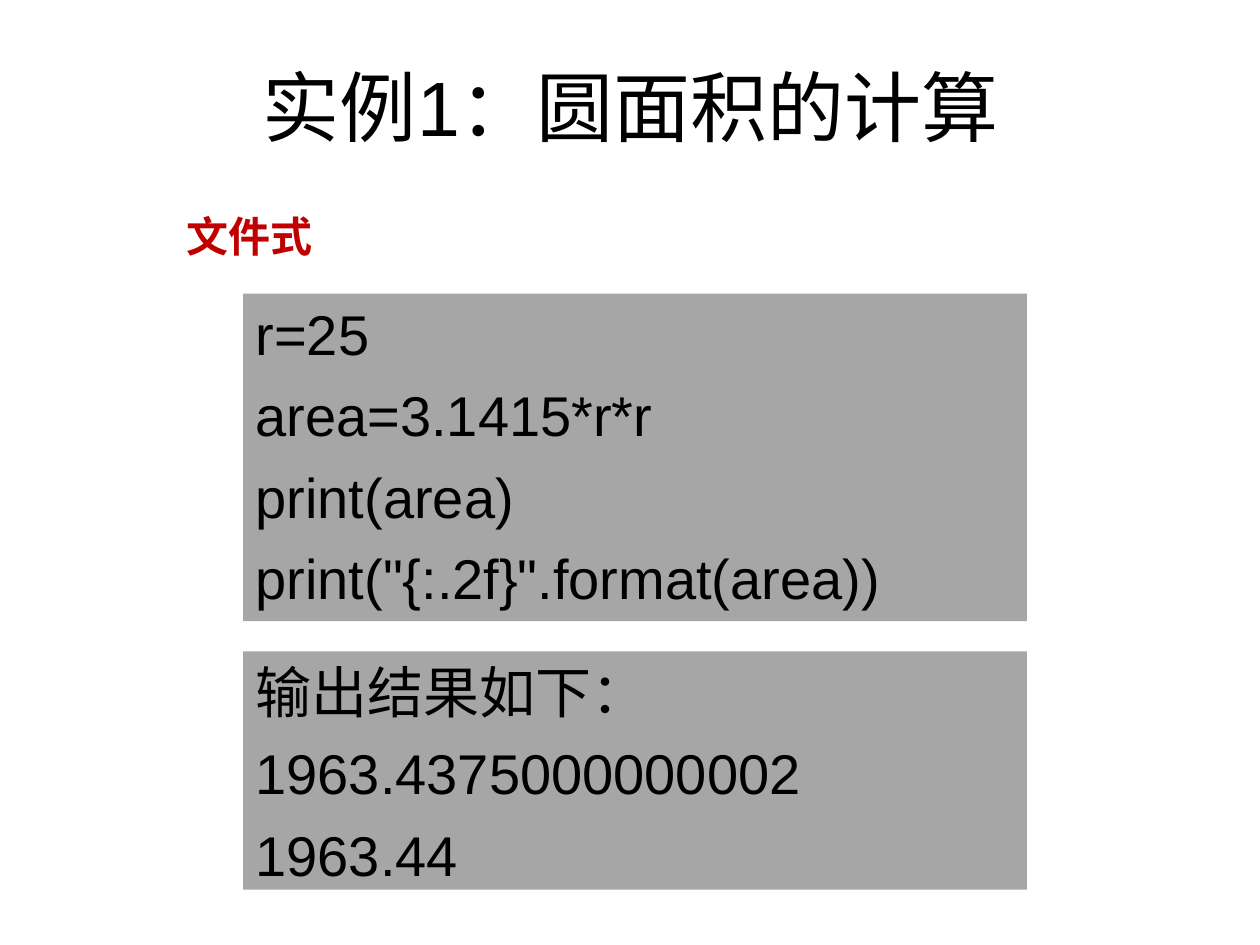
"""Build a slide showing a circle-area program and its output."""
from pptx import Presentation, util as u
from pptx.dml.color import RGBColor
from pptx.enum import shapes, text

W, H = 10, 7.5
TITLE = ["实例1：圆面积的计算"]
LABEL = ["文件式"]
CODE = ["r=25", "area=3.1415*r*r", "print(area)", 'print("{:.2f}".format(area))']
OUTPUT = ["输出结果如下：", "1963.4375000000002", "1963.44"]

PANEL_X, PANEL_W = 1.93, 6.22
TITLE_FMT = {"size": 44, "color": "000000", "align": text.PP_ALIGN.CENTER,
             "anchor": text.MSO_ANCHOR.MIDDLE}
LABEL_FMT = {"size": 24, "color": "C00000", "bold": True}
PANEL_FMT = {"size": 32, "color": "000000", "fill": "A6A6A6", "before": 8}

BLOCKS = [
    (TITLE, (0.51, 0.21, 9, 1.25), TITLE_FMT),
    (CODE, (PANEL_X, 2.33, PANEL_W, 2.6), PANEL_FMT),
    (LABEL, (1.38, 1.62, 2.28, 0.51), LABEL_FMT),
    (OUTPUT, (PANEL_X, 5.17, PANEL_W, 1.89), PANEL_FMT),
]


def rgb(value):
    return RGBColor.from_string(value)


def add_block(s, lines, box, fmt):
    box = [u.Inches(v) for v in box]
    if "fill" in fmt:
        sp = s.shapes.add_shape(shapes.MSO_SHAPE.RECTANGLE, *box)
        sp.shadow.inherit = False
        sp.fill.solid()
        sp.fill.fore_color.rgb = rgb(fmt["fill"])
        sp.line.fill.background()
    else:
        sp = s.shapes.add_textbox(*box)
    tf = sp.text_frame
    tf.word_wrap = True
    tf.vertical_anchor = fmt.get("anchor", text.MSO_ANCHOR.TOP)
    for i, line in enumerate(lines):
        p = tf.paragraphs[0] if i == 0 else tf.add_paragraph()
        p.alignment = fmt.get("align", text.PP_ALIGN.LEFT)
        p.space_before = u.Pt(fmt.get("before", 0))
        r = p.add_run()
        r.text = line
        font = {"name": "Arial", "size": u.Pt(fmt["size"]), "bold": fmt.get("bold", False)}
        for key, value in font.items():
            setattr(r.font, key, value)
        r.font.color.rgb = rgb(fmt["color"])


def main():
    prs = Presentation()
    prs.slide_width, prs.slide_height = u.Inches(W), u.Inches(H)
    s = prs.slides.add_slide(prs.slide_layouts[6])
    for lines, box, fmt in BLOCKS:
        add_block(s, lines, box, fmt)
    prs.save("out.pptx")


if __name__ == "__main__":
    main()
